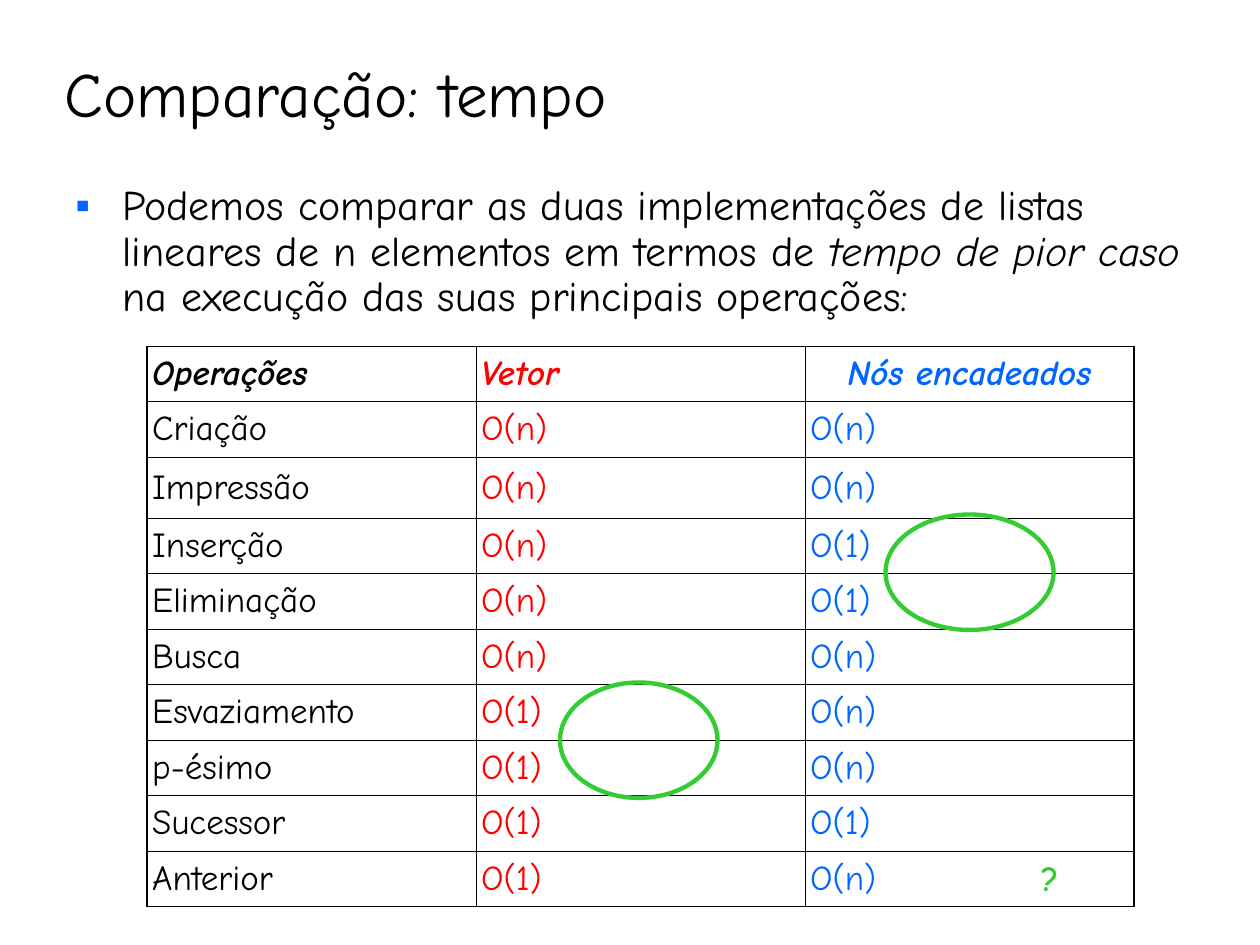
from lxml.etree import SubElement
from pptx import Presentation
from pptx.dml.color import RGBColor
from pptx.enum.shapes import MSO_SHAPE
from pptx.enum.text import MSO_ANCHOR, PP_ALIGN
from pptx.oxml.ns import qn
from pptx.util import Pt

FONT = "Comic Neue"
BLACK, RED, BLUE, GREEN = "000000", "FF0000", "0066FF", "33CC33"
COLUMN_COLORS = (BLACK, RED, BLUE)
HEADINGS = ("Operações", "Vetor", "Nós encadeados")
OPERATIONS = (
    ("Criação", "O(n)", "O(n)"),
    ("Impressão", "O(n)", "O(n)"),
    ("Inserção", "O(n)", "O(1)"),
    ("Eliminação", "O(n)", "O(1)"),
    ("Busca", "O(n)", "O(n)"),
    ("Esvaziamento", "O(1)", "O(n)"),
    ("p-ésimo", "O(1)", "O(n)"),
    ("Sucessor", "O(1)", "O(1)"),
    ("Anterior", "O(1)", "O(n)"),
)
ROW_HEIGHTS = [30.3, 32, 35] + [31.7] * 7
COLUMN_WIDTH = 188
THIN, THICK = 0.45, 1.08


def color(value):
    return RGBColor.from_string(value)


def add_span(para, text, size, value, bold=False, italic=False):
    span = para.add_run()
    span.text = text
    font = span.font
    font.name, font.size, font.bold, font.italic = FONT, Pt(size), bold, italic
    font.color.rgb = color(value)


def add_text_box(page, left, top, width, height, anchor=MSO_ANCHOR.TOP):
    box = page.shapes.add_textbox(Pt(left), Pt(top), Pt(width), Pt(height))
    box.text_frame.word_wrap = True
    box.text_frame.vertical_anchor = anchor
    return box.text_frame.paragraphs[0]


def set_bullet(para, symbol, value, indent):
    properties = para._p.get_or_add_pPr()
    properties.set("marL", str(Pt(indent)))
    properties.set("indent", str(-Pt(indent)))
    bullet_color = SubElement(properties, qn("a:buClr"))
    SubElement(bullet_color, qn("a:srgbClr"), val=value)
    SubElement(properties, qn("a:buFont"), typeface="Arial")
    SubElement(properties, qn("a:buChar"), char=symbol)


def set_borders(cell, **widths):
    properties = cell._tc.get_or_add_tcPr()
    for position, side in enumerate("LRTB"):
        line = SubElement(properties, qn(f"a:ln{side}"), w=str(Pt(widths[side])))
        fill = SubElement(line, qn("a:solidFill"))
        SubElement(fill, qn("a:srgbClr"), val=BLACK)
        properties.insert(position, line)


def add_comparison_table(page, left, top):
    rows = (HEADINGS,) + OPERATIONS
    last_row, last_column = len(rows) - 1, len(HEADINGS) - 1
    table = page.shapes.add_table(
        len(rows), len(HEADINGS), Pt(left), Pt(top),
        Pt(COLUMN_WIDTH * len(HEADINGS)), Pt(sum(ROW_HEIGHTS))).table
    table.first_row = table.horz_banding = False
    for column in table.columns:
        column.width = Pt(COLUMN_WIDTH)
    for r, texts in enumerate(rows):
        table.rows[r].height = Pt(ROW_HEIGHTS[r])
        for c, text in enumerate(texts):
            cell = table.cell(r, c)
            cell.fill.background()
            cell.vertical_anchor = MSO_ANCHOR.MIDDLE
            cell.margin_left = cell.margin_right = Pt(3)
            cell.margin_top = cell.margin_bottom = Pt(3.6)
            heading = r == 0
            para = cell.text_frame.paragraphs[0]
            if heading and c == last_column:
                para.alignment = PP_ALIGN.CENTER
            add_span(para, text, 20, COLUMN_COLORS[c], heading, heading)
            # Thicker lines on the outer edge only
            set_borders(cell,
                        L=THICK if c == 0 else THIN,
                        R=THICK if c == last_column else THIN,
                        T=THICK if heading else THIN,
                        B=THICK if r == last_row else THIN)


def add_ring(page, left, top, width, height):
    ring = page.shapes.add_shape(
        MSO_SHAPE.OVAL, Pt(left), Pt(top), Pt(width), Pt(height))
    ring.shadow.inherit = False
    ring.fill.background()
    ring.line.color.rgb = color(GREEN)
    ring.line.width = Pt(2.5)


def main():
    deck = Presentation()
    deck.slide_width, deck.slide_height = Pt(720), Pt(540)
    page = deck.slides.add_slide(deck.slide_layouts[6])

    # Title
    title = add_text_box(page, 30, 18, 654, 60, MSO_ANCHOR.BOTTOM)
    add_span(title, "Comparação: tempo", 36, BLACK)

    # Introduction
    intro = add_text_box(page, 36, 102, 660, 93)
    intro.line_spacing = 0.9
    set_bullet(intro, "▪", BLUE, 27)
    add_span(intro, "Podemos comparar as duas implementações de listas "
                    "lineares de n elementos em termos de ", 24, BLACK)
    add_span(intro, "tempo de pior caso", 24, BLACK, italic=True)
    add_span(intro, " na execução das suas principais operações:", 24, BLACK)

    # Worst-case times
    add_comparison_table(page, 84, 198)

    # Highlights
    question = add_text_box(page, 576, 486, 48, 32)
    question.alignment = PP_ALIGN.CENTER
    add_span(question, "?", 20, GREEN, bold=True)
    add_ring(page, 320, 390, 90, 66)
    add_ring(page, 506, 294, 96, 66)

    deck.save("out.pptx")


if __name__ == "__main__":
    main()
